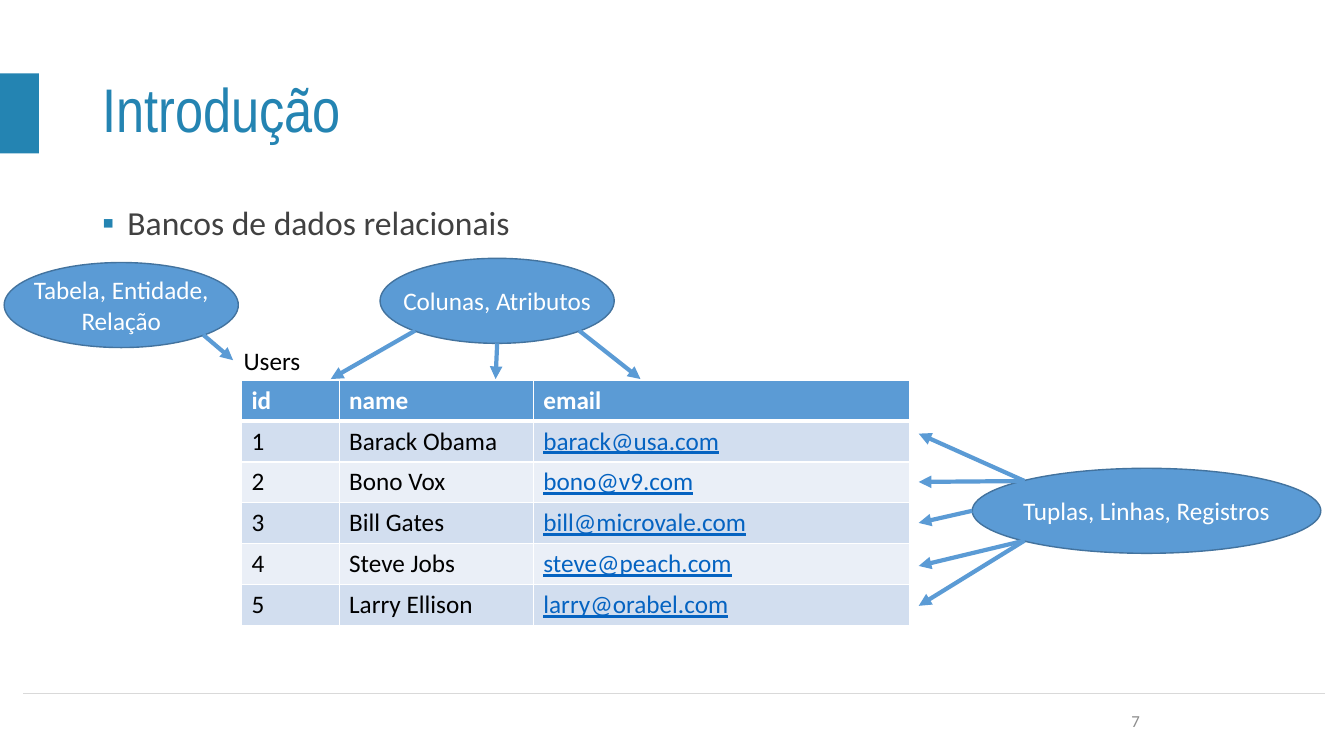
import pptx
import pptx.util
import pptx.dml.color
import pptx.enum.shapes
import pptx.enum.text
import pptx.oxml
import pptx.oxml.ns

RGBColor = pptx.dml.color.RGBColor
TEAL = RGBColor(0x24, 0x84, 0xB2)
BLUE = RGBColor(0x5B, 0x9B, 0xD5)
DARK_BLUE = RGBColor(0x43, 0x73, 0x9E)
LINK_BLUE = RGBColor(0x05, 0x63, 0xC1)
BAND_DARK = RGBColor(0xD2, 0xDE, 0xEF)
BAND_LIGHT = RGBColor(0xEA, 0xEF, 0xF7)
TEXT_GRAY = RGBColor(0x41, 0x41, 0x41)
NUMBER_GRAY = RGBColor(0x8C, 0x8C, 0x8C)
RULE_GRAY = RGBColor(0xD9, 0xD9, 0xD9)
BLACK = RGBColor(0, 0, 0)
WHITE = RGBColor(0xFF, 0xFF, 0xFF)

ALIGN = pptx.enum.text.PP_ALIGN
ANCHOR = pptx.enum.text.MSO_ANCHOR
SHAPE = pptx.enum.shapes.MSO_SHAPE
EMU_PER_PX = 9525

USERS = [
    ("id", "name", "email"),
    ("1", "Barack Obama", "barack@usa.com"),
    ("2", "Bono Vox", "bono@v9.com"),
    ("3", "Bill Gates", "bill@microvale.com"),
    ("4", "Steve Jobs", "steve@peach.com"),
    ("5", "Larry Ellison", "larry@orabel.com"),
]
COLUMN_WIDTHS = (93, 185, 358)
ROW_HEIGHT = 39


def px(length):
    return pptx.util.Emu(round(length * EMU_PER_PX))


def add_xml(parent, xml):
    """Append a DrawingML element, written without its namespace."""
    namespace = pptx.oxml.ns.nsdecls("a")
    tag, rest = xml[1:].split(" ", 1)
    parent.append(pptx.oxml.parse_xml(f"<{tag} {namespace} {rest}"))


def write(text_frame, text, size, color, font="Calibri", align=ALIGN.LEFT, bold=False, underline=False):
    text_frame.text = text
    for paragraph in text_frame.paragraphs:
        paragraph.alignment = align
        for run in paragraph.runs:
            run.font.name = font
            run.font.size = pptx.util.Pt(size)
            run.font.color.rgb = color
            run.font.bold = bold
            run.font.underline = underline


def add_text(slide, box, text, size, color, anchor=ANCHOR.TOP, wrap=True, **style):
    text_frame = slide.shapes.add_textbox(*map(px, box)).text_frame
    text_frame.word_wrap = wrap
    text_frame.vertical_anchor = anchor
    write(text_frame, text, size, color, **style)
    return text_frame.paragraphs[0]


def add_line(slide, start, end, color, width, arrow=False):
    line = slide.shapes.add_connector(
        pptx.enum.shapes.MSO_CONNECTOR.STRAIGHT, *map(px, (*start, *end)))
    line.line.color.rgb = color
    line.line.width = pptx.util.Pt(width)
    if arrow:
        add_xml(line.line._get_or_add_ln(), '<a:tailEnd type="triangle"/>')
    add_xml(line._element.spPr, "<a:effectLst />")


def add_heading(slide, box):
    """Accent bar at the slide edge and the title beside it."""
    left, top, width, height = box
    bar = slide.shapes.add_shape(SHAPE.RECTANGLE, *map(px, (0, top + 32, 37, 76)))
    bar.shadow.inherit = False
    bar.fill.solid()
    bar.fill.fore_color.rgb = TEAL
    bar.line.fill.background()
    title = add_text(slide, box, "Introdução", 44, TEAL, ANCHOR.MIDDLE, font="Arial Narrow")
    title.line_spacing = 0.9


def add_body(slide, box):
    """Bulleted topic line."""
    paragraph = add_text(slide, box, "Bancos de dados relacionais", 24, TEXT_GRAY)
    paragraph.line_spacing = 0.9
    paragraph.space_before = pptx.util.Pt(10)
    properties = paragraph._p.get_or_add_pPr()
    properties.set("marL", str(px(24)))
    properties.set("indent", str(px(-24)))
    add_xml(properties, f'<a:buClr ><a:srgbClr val="{TEAL}"/></a:buClr>')
    add_xml(properties, '<a:buFont typeface="Calibri"/>')
    add_xml(properties, '<a:buChar char="▪"/>')


def add_users_table(slide, box):
    """Caption and banded table of users."""
    left, top, width, height = box
    add_text(slide, (left - 8, top - 38, 74, 38), "Users", 18, BLACK, wrap=False, align=ALIGN.CENTER)
    table = slide.shapes.add_table(len(USERS), len(COLUMN_WIDTHS), *map(px, box)).table
    for column, column_width in zip(table.columns, COLUMN_WIDTHS):
        column.width = px(column_width)
    for row_index, values in enumerate(USERS):
        table.rows[row_index].height = px(ROW_HEIGHT)
        header = row_index == 0
        band = BLUE if header else (BAND_LIGHT, BAND_DARK)[row_index % 2]
        for column_index, value in enumerate(values):
            cell = table.cell(row_index, column_index)
            email = column_index == 2 and not header
            color = WHITE if header else LINK_BLUE if email else BLACK
            write(cell.text_frame, value, 18, color, bold=header, underline=email)
            for side in "LRTB":
                thick = (header and side == "B") or (row_index == 1 and side == "T")
                add_xml(cell._tc.get_or_add_tcPr(),
                        f'<a:ln{side} w="{pptx.util.Pt(3 if thick else 1)}"><a:solidFill>'
                        f'<a:srgbClr val="{WHITE}"/></a:solidFill></a:ln{side}>')
            cell.fill.solid()
            cell.fill.fore_color.rgb = band


def add_callout(slide, box, text, arrows):
    """Labelled ellipse; each arrow runs from a point on its rim to a target."""
    left, top, width, height = box
    ellipse = slide.shapes.add_shape(SHAPE.OVAL, *map(px, box))
    ellipse.shadow.inherit = False
    ellipse.fill.solid()
    ellipse.fill.fore_color.rgb = BLUE
    ellipse.line.color.rgb = DARK_BLUE
    ellipse.line.width = pptx.util.Pt(1)
    ellipse.text_frame.word_wrap = False
    ellipse.text_frame.vertical_anchor = ANCHOR.MIDDLE
    write(ellipse.text_frame, text, 18, WHITE, align=ALIGN.CENTER)
    near, far = 0.15, 0.85
    rim = {
        "top left": (near, near), "left": (0, 0.5), "bottom left": (near, far),
        "bottom": (0.5, 1), "bottom right": (far, far),
    }
    for site, target in arrows:
        across, down = rim[site]
        start = (left + across * width, top + down * height)
        add_line(slide, start, target, BLUE, 3, arrow=True)


def add_footer(slide, box):
    """Thin rule and the slide number."""
    left, top, width, height = box
    add_line(slide, (left, top), (left + width, top), RULE_GRAY, 0.5)
    add_text(slide, (904, top + 7, 191, 38), "7", 12, NUMBER_GRAY, ANCHOR.MIDDLE, align=ALIGN.RIGHT)


def main():
    presentation = pptx.Presentation()
    presentation.slide_width = px(1280)
    presentation.slide_height = px(720)
    slide = presentation.slides.add_slide(presentation.slide_layouts[6])

    add_footer(slide, (22, 660, 1240, 45))
    add_heading(slide, (88, 38, 1104, 139))
    add_body(slide, (88, 192, 1104, 457))
    add_users_table(slide, (230, 362, sum(COLUMN_WIDTHS), ROW_HEIGHT * len(USERS)))
    add_callout(slide, (4, 250, 223, 81), "Tabela, Entidade,\nRelação",
                [("bottom right", (222, 343))])
    add_callout(slide, (362, 246, 223, 81), "Colunas, Atributos",
                [("bottom left", (315, 361)), ("bottom", (472, 361)), ("bottom right", (610, 361))])
    row_sites = ("top left", "top left", "left", "bottom left", "bottom left")
    row_levels = (413, 459, 498, 539, 577)
    add_callout(slide, (926, 446, 332, 81), "Tuplas, Linhas, Registros",
                [(site, (875, level)) for site, level in zip(row_sites, row_levels)])
    presentation.save("out.pptx")


if __name__ == "__main__":
    main()
